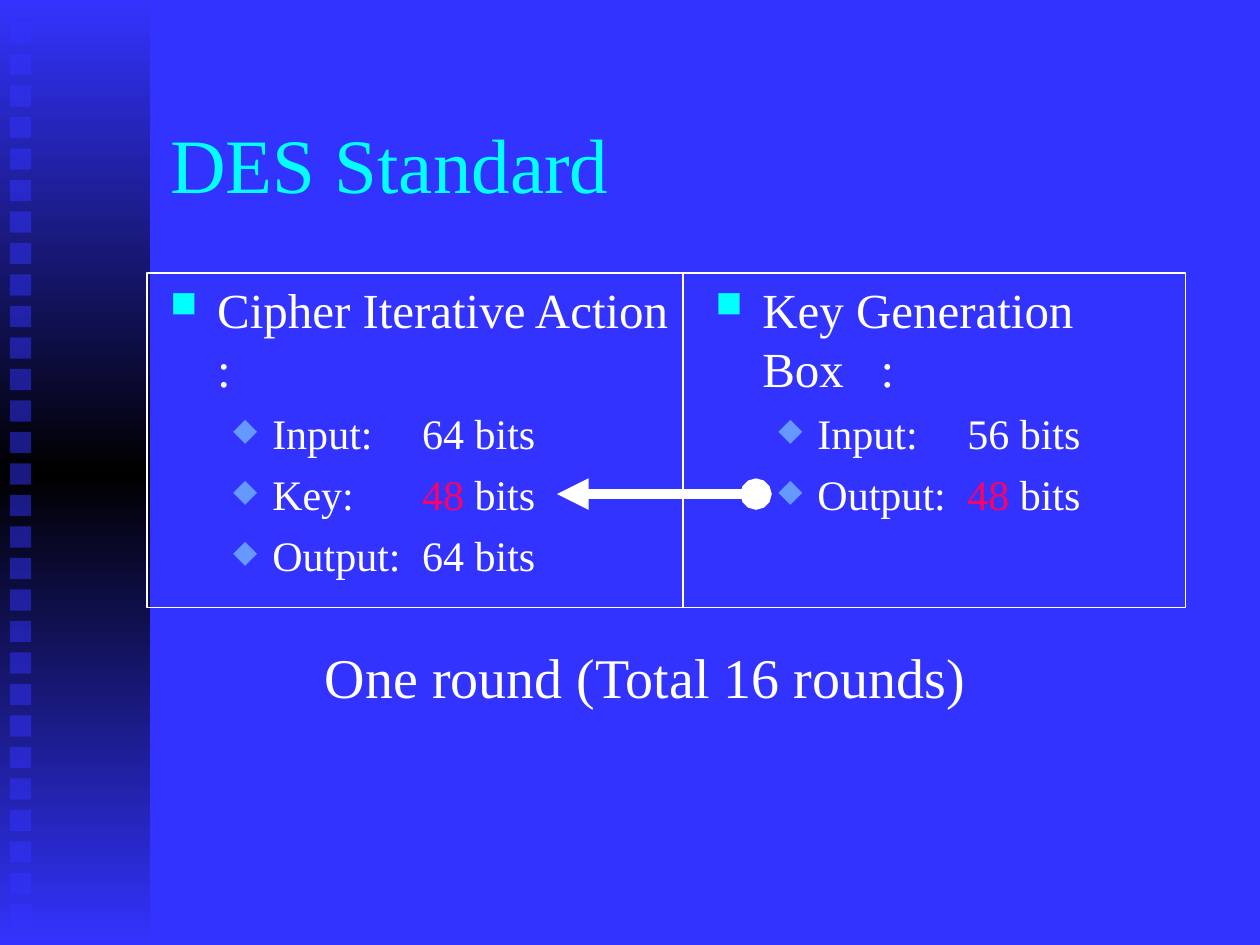
import copy

import pptx
import pptx.dml.color
import pptx.enum.shapes
import pptx.enum.text
import pptx.oxml.ns
import pptx.util
from lxml import etree

Cm = pptx.util.Cm
Pt = pptx.util.Pt
RECTANGLE = pptx.enum.shapes.MSO_SHAPE.RECTANGLE
BLUE, CYAN, WHITE, RED, PALE_BLUE = "3333FF", "00FFFF", "FFFFFF", "FF0066", "6699FF"

HEADING = {
    "size": 28, "space": 0, "indent": 0.95, "hanging": 0.95, "bullet": "■", "bullet_color": CYAN,
}
DETAIL = {
    "size": 24, "space": 6, "indent": 2.06, "hanging": 0.79, "bullet": "◆", "bullet_color": PALE_BLUE,
}


def color(hex_string):
    return pptx.dml.color.RGBColor.from_string(hex_string)


def add_xml(parent, tag, **attributes):
    return etree.SubElement(parent, pptx.oxml.ns.qn(tag), attributes)


def set_font(font, size, hex_string):
    values = {"name": "Times New Roman", "size": Pt(size), "bold": False}
    for name, value in values.items():
        setattr(font, name, value)
    font.color.rgb = color(hex_string)


def add_rectangle(slide, left, top, width, height):
    rectangle = slide.shapes.add_shape(RECTANGLE, Cm(left), Cm(top), Cm(width), Cm(height))
    rectangle.shadow.inherit = False
    return rectangle


def add_line(slide, start, end, width):
    line = slide.shapes.add_connector(
        pptx.enum.shapes.MSO_CONNECTOR.STRAIGHT, *(Cm(value) for value in (*start, *end)))
    line.line.color.rgb = color(WHITE)
    line.line.width = Pt(width)
    add_xml(line._element.spPr, "a:effectLst")
    return line


def add_text_frame(slide, left, top, width, height, wrap=True):
    frame = slide.shapes.add_textbox(Cm(left), Cm(top), Cm(width), Cm(height)).text_frame
    frame.word_wrap = wrap
    return frame


def add_sidebar(slide, left, top, width, height):
    """Gradient band with a column of translucent squares."""
    band = add_rectangle(slide, left, top, width, height)
    band.line.fill.background()
    band.fill.gradient()
    band.fill.gradient_angle = 90
    stop_list = band._element.spPr.find(".//" + pptx.oxml.ns.qn("a:gsLst"))
    stop_list.append(copy.deepcopy(stop_list[0]))
    for index, (stop, shade) in enumerate(zip(band.fill.gradient_stops, (BLUE, "000000", BLUE))):
        stop.position = index / 2
        stop.color.rgb = color(shade)

    pitch, side = 0.635, 0.43
    for index in range(29):
        square = add_rectangle(slide, left + 0.2, top + 0.45 + index * pitch, side, side)
        square.line.fill.background()
        square.fill.solid()
        square.fill.fore_color.rgb = color(BLUE)
        tint = square._element.spPr.find(".//" + pptx.oxml.ns.qn("a:srgbClr"))
        add_xml(tint, "a:alpha", val="50000")


def add_title(slide, left, top, width, height):
    frame = add_text_frame(slide, left, top, width, height)
    frame.vertical_anchor = pptx.enum.text.MSO_ANCHOR.MIDDLE
    title = frame.paragraphs[0]
    title.text = "DES Standard"
    set_font(title.runs[0].font, 44, CYAN)


def format_bullet(paragraph, style):
    properties = paragraph._p.get_or_add_pPr()
    properties.set("marL", str(Cm(style["indent"])))
    properties.set("indent", str(-Cm(style["hanging"])))
    bullet_color = add_xml(properties, "a:buClr")
    add_xml(bullet_color, "a:srgbClr", val=style["bullet_color"])
    add_xml(properties, "a:buSzPct", val="75000")
    add_xml(properties, "a:buChar", char=style["bullet"])
    tabs = add_xml(properties, "a:tabLst")
    add_xml(tabs, "a:tab", pos=str(Cm(5.08)), algn="l")
    paragraph.space_before = Pt(style["space"])


def add_bit_list(slide, left, top, width, height, heading, details):
    """Bulleted heading over label and bit-count lines; details are (label, bits, bits colour)."""
    frame = add_text_frame(slide, left, top, width, height)
    lines = [(HEADING, [(heading, WHITE)])]
    for label, bits, bits_color in details:
        lines.append((DETAIL, [(f"{label}:\t", WHITE), (bits, bits_color), (" bits", WHITE)]))
    for index, (style, pieces) in enumerate(lines):
        paragraph = frame.add_paragraph() if index else frame.paragraphs[0]
        paragraph.level = 1 if style is DETAIL else 0
        format_bullet(paragraph, style)
        for words, shade in pieces:
            run = paragraph.add_run()
            run.text = words
            set_font(run.font, style["size"], shade)


def add_round(slide, left, top, width, height):
    """Framed pair of lists, with the generated key passed from right to left."""
    add_bit_list(slide, left + 0.21, top, 10.59, 11.43, "Cipher Iterative Action :",
                 [("Input", "64", WHITE), ("Key", "48", RED), ("Output", "64", WHITE)])
    add_bit_list(slide, left + 11.2, top, 10.59, 11.43, "Key Generation Box   :",
                 [("Input", "56", WHITE), ("Output", "48", RED)])

    frame = add_rectangle(slide, left, top, width, height)
    frame.fill.background()
    frame.line.color.rgb = color(WHITE)
    frame.line.width = Pt(1)

    divider = left + 10.8
    add_line(slide, (divider, top), (divider, top + height), 1)
    key_row = top + 4.45
    key_arrow = add_line(slide, (left + 12.27, key_row), (left + 8.26, key_row), 6)
    outline = key_arrow.line._get_or_add_ln()
    add_xml(outline, "a:headEnd", type="oval")
    add_xml(outline, "a:tailEnd", type="triangle")


def add_caption(slide, left, top, width, height):
    caption = add_text_frame(slide, left, top, width, height, wrap=False).paragraphs[0]
    caption.text = "One round (Total 16 rounds)"
    set_font(caption.runs[0].font, 32, WHITE)


def main():
    presentation = pptx.Presentation()
    presentation.slide_width, presentation.slide_height = Cm(25.4), Cm(19.05)
    slide = presentation.slides.add_slide(presentation.slide_layouts[6])
    slide.background.fill.solid()
    slide.background.fill.fore_color.rgb = color(BLUE)
    add_sidebar(slide, 0, 0, 3.02, 19.05)
    add_title(slide, 3.18, 1.7, 21.59, 3.18)
    add_round(slide, 2.97, 5.51, 20.93, 6.74)
    add_caption(slide, 6.3, 12.83, 13.51, 1.6)
    presentation.save("out.pptx")


if __name__ == "__main__":
    main()
